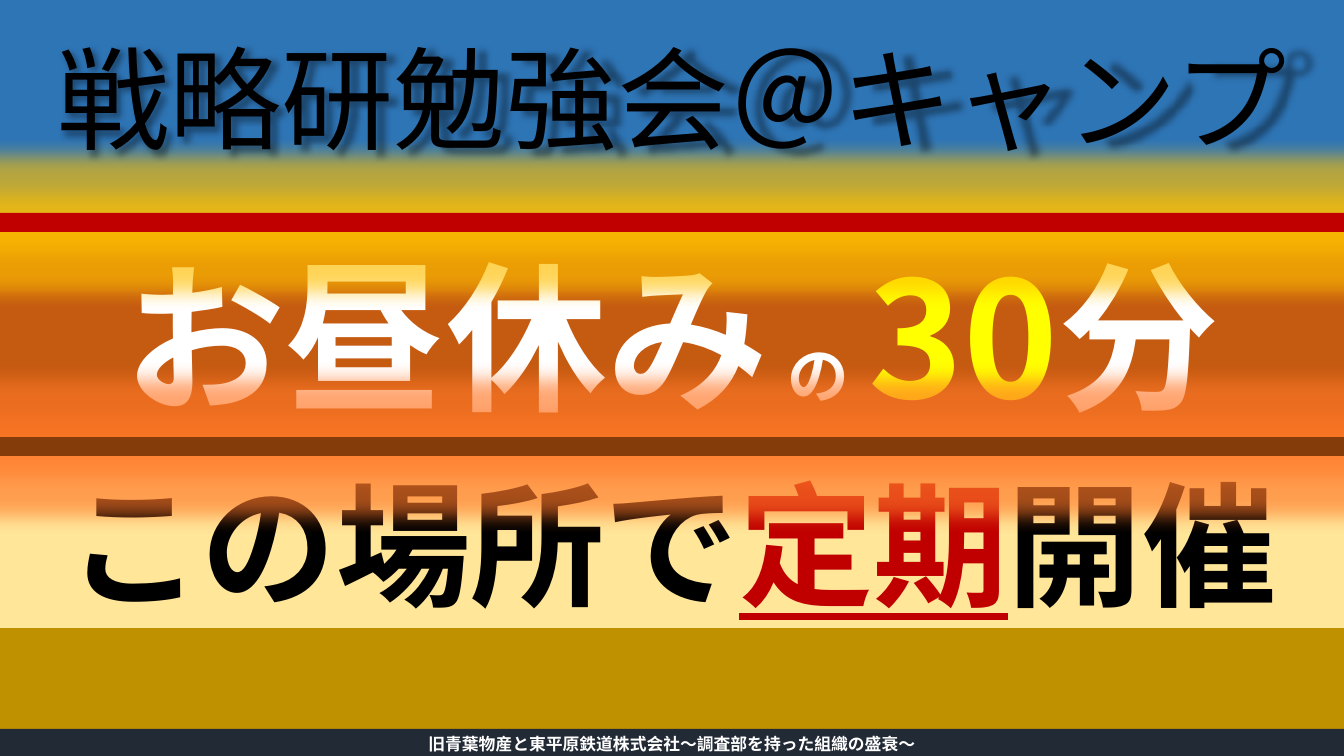
from lxml.etree import SubElement
from pptx import Presentation
from pptx.dml.color import RGBColor
from pptx.enum.shapes import MSO_SHAPE as Shape
from pptx.enum.text import MSO_ANCHOR as Anchor, MSO_AUTO_SIZE as AutoSize, PP_ALIGN as Align
from pptx.oxml.ns import qn
from pptx.util import Emu, Pt

WIDTH, HEIGHT = 1344, 756
SCALE = 12192000 / WIDTH
FONT = "Noto Sans CJK JP"


def px(length):
    """Turn a length in px into EMU."""
    return Emu(round(length * SCALE))


def color(hex_code):
    """Turn a hex string into a colour."""
    return RGBColor.from_string(hex_code)


def write(shape, runs):
    """Write one centred line of (text, size, colour, format) runs."""
    frame = shape.text_frame
    frame_format = {"word_wrap": True, "auto_size": AutoSize.NONE,
                    "vertical_anchor": Anchor.MIDDLE,
                    "margin_top": px(5), "margin_bottom": px(5)}
    for key, value in frame_format.items():
        setattr(frame, key, value)
    line = frame.paragraphs[0]
    line.alignment, line.line_spacing = Align.CENTER, 1.0
    for text, size, ink, extra in runs:
        run = line.add_run()
        run.text = text
        for key, value in {"size": Pt(size), "name": FONT, "bold": True, **extra}.items():
            setattr(run.font, key, value)
        run.font.color.rgb = color(ink)
        SubElement(run.font._element, qn("a:ea"), typeface=FONT)


def add_effect(shape, kind, hex_code, alpha, **settings):
    """Give a shape a glow or a shadow."""
    shape.shadow.inherit = False
    effects = shape._element.spPr.find(qn("a:effectLst"))
    effect = SubElement(effects, qn(f"a:{kind}"), **settings)
    tint = SubElement(effect, qn("a:srgbClr"), val=hex_code)
    SubElement(tint, qn("a:alpha"), val=str(alpha * 1000))


def add_band(slide, top, height, fill, runs=()):
    """Draw a band across the slide with an optional line of text."""
    band = slide.shapes.add_shape(Shape.RECTANGLE, 0, px(top), px(WIDTH), px(height))
    band.shadow.inherit = False
    band.fill.solid()
    band.fill.fore_color.rgb = color(fill)
    band.line.fill.background()
    if runs:
        write(band, runs)
    return band


def add_divider(slide, top, height, fill, glow):
    """Draw a thin band that glows over its neighbours."""
    divider = add_band(slide, top, height, fill)
    add_effect(divider, "glow", glow, 65, rad=str(px(40)))


def place_title(slide, top, height, text):
    """Bring the title to the front, over the bands, with a soft shadow."""
    title = slide.shapes.title
    title.left, title.top, title.width, title.height = 0, px(top), px(WIDTH), px(height)
    title._element.getparent().append(title._element)
    write(title, [(text, 80, "000000", {"bold": False})])
    add_effect(title, "outerShdw", "000000", 40, blurRad=str(px(7)),
               sx="102000", sy="102000", algn="ctr", rotWithShape="0")


def build_poster(slide):
    """Stack the bands of the poster from back to front."""
    add_band(slide, -1, 417, "2E75B6")
    add_band(slide, 232, 205, "C55A11", [
        ("お昼休み", 115, "FFFFFF", {}),
        (" ", 60, "FFFFFF", {}),
        ("の", 44, "FFFFFF", {}),
        (" ", 60, "FFFFFF", {}),
        ("30", 115, "FFFF00", {}),
        ("分", 115, "FFFFFF", {}),
    ])
    add_band(slide, 456, 173, "FFE699", [
        ("この場所で", 96, "000000", {}),
        ("定期", 96, "C00000", {"underline": True}),
        ("開催", 96, "000000", {}),
    ])
    add_divider(slide, 213, 19, "C00000", "FFC000")
    add_divider(slide, 437, 19, "843C0B", "FF7828")
    place_title(slide, 24, 146, "戦略研勉強会＠キャンプ")
    ground = add_band(slide, 629, 127, "BF9000")
    ground.line.color.rgb = color("BF9000")
    ground.line.width = Pt(1)
    add_band(slide, 729, 30, "222A35", [
        ("旧青葉物産と東平原鉄道株式会社～調査部を持った組織の盛衰～", 12, "FFFFFF", {}),
    ])


def main():
    """Build and save the slide."""
    deck = Presentation()
    deck.slide_width, deck.slide_height = px(WIDTH), px(HEIGHT)
    build_poster(deck.slides.add_slide(deck.slide_layouts[5]))
    deck.save("out.pptx")


if __name__ == "__main__":
    main()
